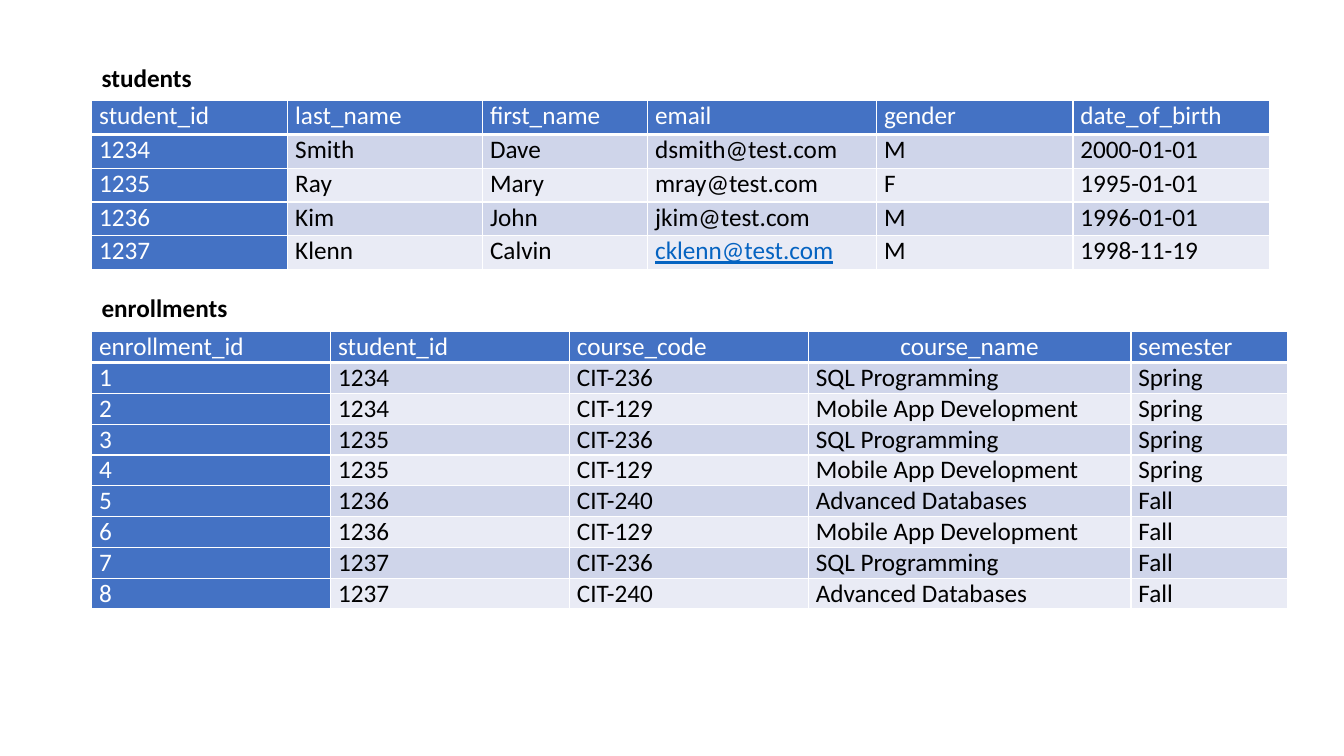
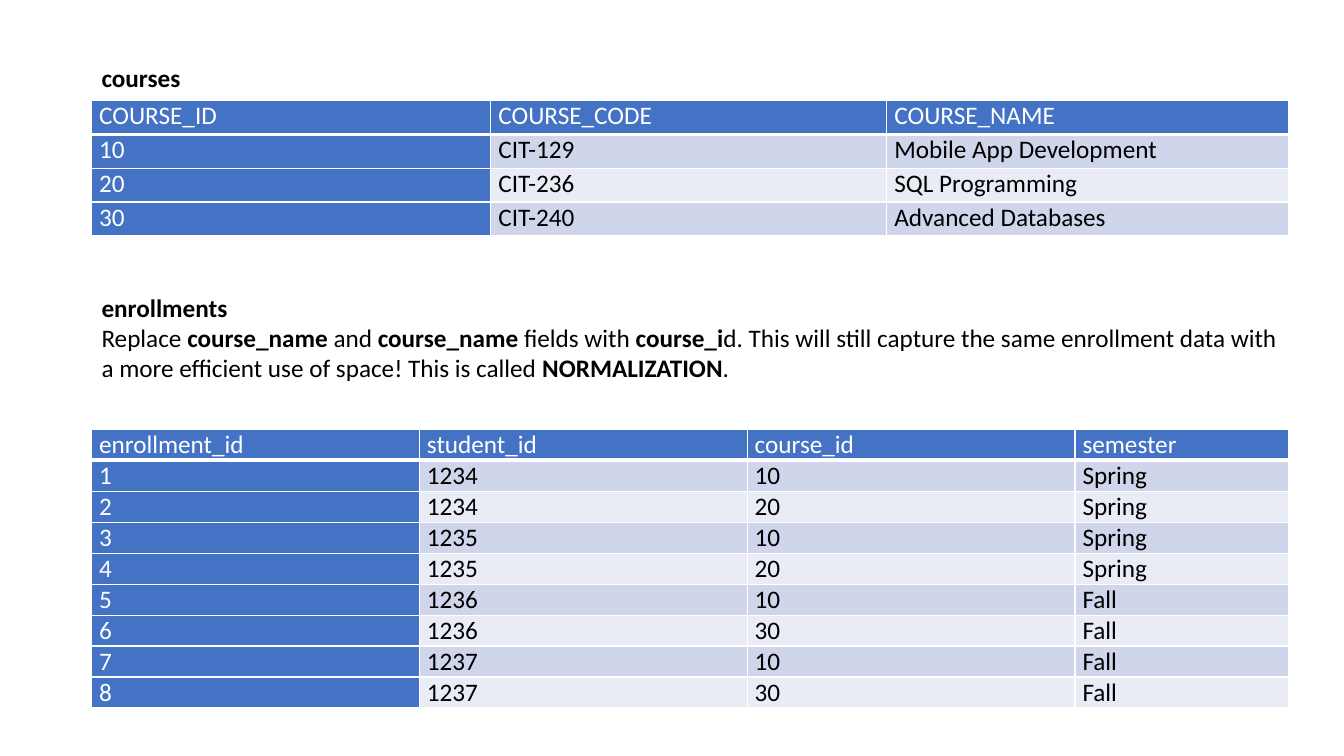
import pptx
import pptx.util
import pptx.dml.color
import pptx.enum.text
import pptx.oxml
import pptx.oxml.ns
from dataclasses import dataclass

Cm = pptx.util.Cm
Pt = pptx.util.Pt
Align = pptx.enum.text.PP_ALIGN


@dataclass(frozen=True)
class Theme:
    font: str = "Calibri"
    size: int = 18
    head: str = "4472C4"
    bands: tuple = ("CFD5EA", "E9EBF5")
    white: str = "FFFFFF"
    ink: str = "000000"
    link: str = "0563C1"
    left: float = 2.31
    inset: float = 0.19
    thin: int = 1
    thick: int = 3


theme = Theme()


def write(para, text, color=theme.ink, bold=False, under=False, align=Align.LEFT):
    para.alignment = align
    run = para.add_run()
    run.text = text
    font = run.font
    font.name = theme.font
    font.size = Pt(theme.size)
    font.bold = bold
    font.underline = under
    font.color.rgb = pptx.dml.color.RGBColor.from_string(color)


def grid(slide, top, high, wide, rows, mid=None, link=None):
    frame = slide.shapes.add_table(
        len(rows), len(wide), Cm(theme.left), Cm(top), Cm(sum(wide)), Cm(high * len(rows)))
    table = frame.table
    table.first_col = True
    for col, width in zip(table.columns, wide):
        col.width = Cm(width)
    for y, row in enumerate(rows):
        table.rows[y].height = Cm(high)
        for x, text in enumerate(row):
            cell = table.cell(y, x)
            cell.margin_left = cell.margin_right = Cm(theme.inset)
            cell.margin_top = cell.margin_bottom = 0
            key = y == 0 or x == 0
            cell.fill.solid()
            cell.fill.fore_color.rgb = pptx.dml.color.RGBColor.from_string(
                theme.head if key else theme.bands[(y - 1) % 2])
            props = cell._tc.get_or_add_tcPr()
            for spot, side in enumerate("LRTB"):
                width = theme.thick if y == 0 and side == "B" else theme.thin
                props.insert(spot, pptx.oxml.parse_xml(
                    f'<a:ln{side} {pptx.oxml.ns.nsdecls("a")} w="{Pt(width)}"><a:solidFill>'
                    f'<a:srgbClr val="{theme.white}"/></a:solidFill></a:ln{side}>'))
            live = text == link
            color = theme.white if key else theme.link if live else theme.ink
            write(cell.text_frame.paragraphs[0], text, color=color, under=live,
                  align=Align.CENTER if text == mid else Align.LEFT)


deck = pptx.Presentation()
deck.slide_width, deck.slide_height = Cm(33.87), Cm(19.05)

names = [
    ("student_id", "last_name", "first_name", "email", "gender", "date_of_birth"),
    ("1234", "Smith", "Dave", "dsmith@test.com", "M", "2000-01-01"),
    ("1235", "Ray", "Mary", "mray@test.com", "F", "1995-01-01"),
    ("1236", "Kim", "John", "jkim@test.com", "M", "1996-01-01"),
    ("1237", "Klenn", "Calvin", "cklenn@test.com", "M", "1998-11-19"),
]
titles = {
    "CIT-129": "Mobile App Development",
    "CIT-236": "SQL Programming",
    "CIT-240": "Advanced Databases",
}
codes = ["CIT-236", "CIT-129", "CIT-236", "CIT-129", "CIT-240", "CIT-129", "CIT-236", "CIT-240"]
marks = ["10", "20", "10", "20", "10", "30", "10", "30"]
terms = ["Spring"] * 4 + ["Fall"] * 4

full = [("enrollment_id", "student_id", "course_code", "course_name", "semester")]
lean = [("enrollment_id", "student_id", "course_id", "semester")]
for i, (code, mark, term) in enumerate(zip(codes, marks, terms)):
    start = (str(i + 1), names[1 + i // 2][0])
    full.append((*start, code, titles[code], term))
    lean.append((*start, mark, term))

list_rows = [("COURSE_ID", "COURSE_CODE", "COURSE_NAME")]
for i, (code, title) in enumerate(titles.items()):
    list_rows.append((str(10 * (i + 1)), code, title))

note = [
    [("enrollments", True)],
    [("Replace ", False), ("course_name ", True), ("and ", False), ("course_name ", True),
     ("fields with ", False), ("course_i", True),
     ("d. This will still capture the same enrollment data with ", False)],
    [("a more efficient use of space! This is called ", False),
     ("NORMALIZATION", True), (".", False)],
]

pages = [
    ([dict(top=2.54, high=0.85, wide=[4.94, 4.91, 4.16, 5.77, 4.95, 4.95],
           rows=names, link="cklenn@test.com"),
      dict(top=8.36, high=0.76, wide=[6.02, 6.02, 6.02, 8.13, 3.94],
           rows=full, mid="course_name")],
     [(1.45, 2.79, 1.02, False, [[("students", True)]]),
      (7.24, 3.71, 1.8, False, note[:1])]),
    ([dict(top=2.54, high=0.85, wide=[10.06, 9.98, 10.13], rows=list_rows),
      dict(top=10.82, high=0.78, wide=[8.26, 8.26, 8.26, 5.38], rows=lean)],
     [(1.45, 2.51, 1.02, False, [[("courses", True)]]),
      (7.24, 30.15, 2.57, True, note)]),
]

for tables, texts in pages:
    slide = deck.slides.add_slide(deck.slide_layouts[6])
    for table in tables:
        grid(slide, **table)
    for top, width, high, wrap, lines in texts:
        box = slide.shapes.add_textbox(Cm(theme.left), Cm(top), Cm(width), Cm(high))
        frame = box.text_frame
        frame.word_wrap = wrap
        for i, line in enumerate(lines):
            para = frame.add_paragraph() if i else frame.paragraphs[0]
            for text, bold in line:
                write(para, text, bold=bold)

deck.save("out.pptx")
